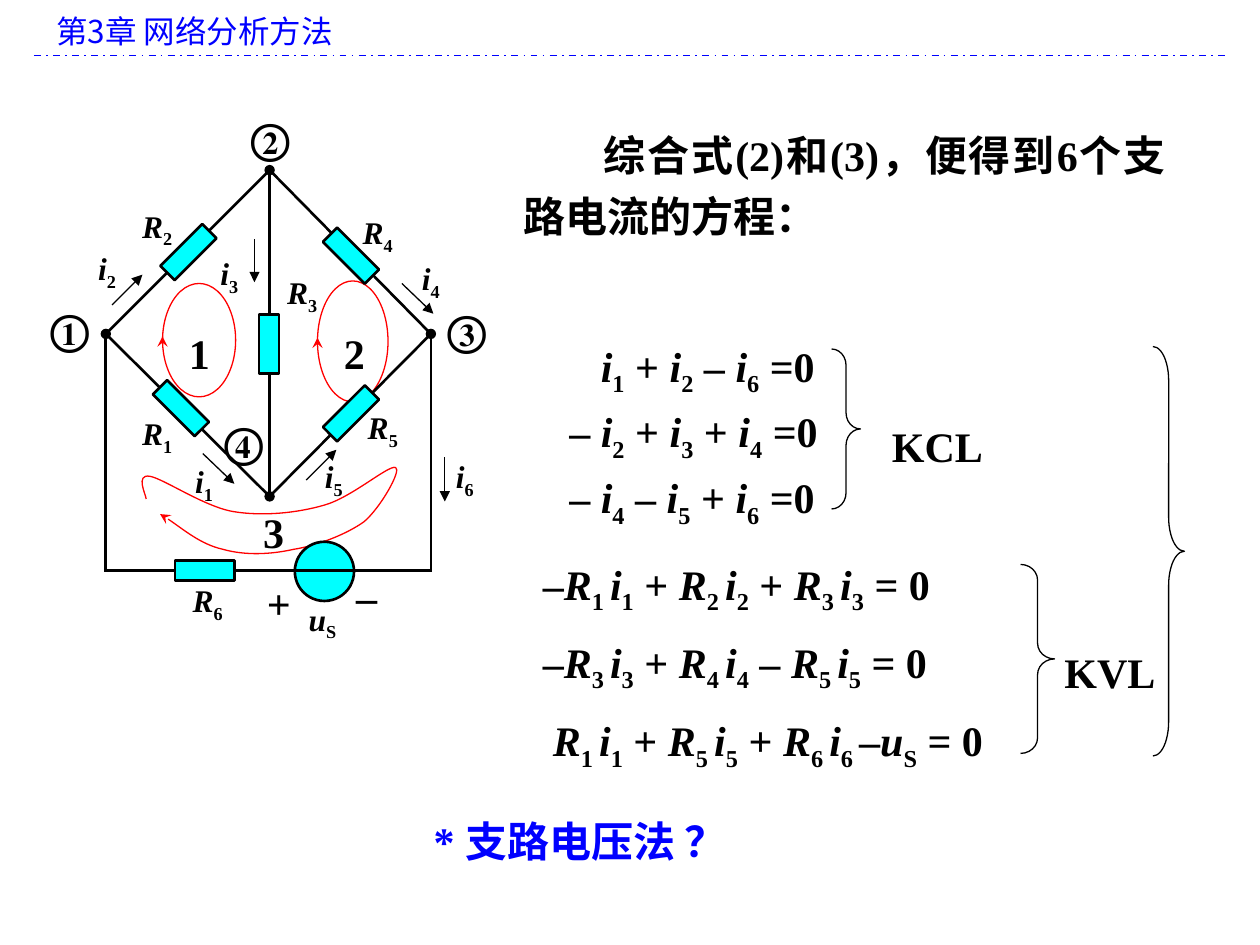
from dataclasses import dataclass
from itertools import groupby

from lxml import etree
from pptx import Presentation
from pptx.dml.color import RGBColor
from pptx.enum.dml import MSO_LINE
from pptx.enum.shapes import MSO_CONNECTOR, MSO_SHAPE
from pptx.enum.text import MSO_ANCHOR, MSO_AUTO_SIZE, PP_ALIGN
from pptx.oxml.ns import qn
from pptx.util import Inches, Pt

STRAIGHT = MSO_CONNECTOR.STRAIGHT
ELLIPSE, RECTANGLE, BRACE = MSO_SHAPE.OVAL, MSO_SHAPE.RECTANGLE, MSO_SHAPE.RIGHT_BRACE
LEFT, CENTER, JUSTIFY = PP_ALIGN.LEFT, PP_ALIGN.CENTER, PP_ALIGN.JUSTIFY
TOP, MIDDLE = MSO_ANCHOR.TOP, MSO_ANCHOR.MIDDLE
FIT_SHAPE = MSO_AUTO_SIZE.SHAPE_TO_FIT_TEXT
DASH_DOT = MSO_LINE.DASH_DOT


@dataclass(frozen=True)
class Theme:
    black: RGBColor = RGBColor(0, 0, 0)
    blue: RGBColor = RGBColor(0, 0, 255)
    red: RGBColor = RGBColor(255, 0, 0)
    cyan: RGBColor = RGBColor(0, 255, 255)
    body_font: str = "Times New Roman"
    chinese_font: str = "Noto Sans CJK SC"
    large: int = 24
    small: int = 18
    thin: float = 0.75
    thick: float = 1.5


def split_math(text):
    """Yield (text, italic, subscript); a tilde lowers the next character."""
    styled, lowered = [], False
    for character in text:
        if character == "~":
            lowered = True
            continue
        styled.append((character, character in "Riu", lowered))
        lowered = False
    for (italic, subscript), group in groupby(styled, key=lambda item: item[1:]):
        yield "".join(item[0] for item in group), italic, subscript


class SlideBuilder:
    def __init__(self, slide, theme):
        self.slide, self.theme = slide, theme

    def text(self, left, top, width, height, lines, size=None, color=None, bold=True,
             font=None, east_asian=None, align=LEFT, anchor=TOP, spacing=None, gap=0,
             indents=()):
        box = self.slide.shapes.add_textbox(*map(Inches, (left, top, width, height)))
        frame = box.text_frame
        frame.word_wrap = width > 0.54
        frame.auto_size = FIT_SHAPE
        frame.vertical_anchor = anchor
        for index, line in enumerate(lines):
            paragraph = frame.add_paragraph() if index else frame.paragraphs[0]
            paragraph.alignment = align
            if spacing:
                paragraph.line_spacing = spacing
            if index and gap:
                paragraph.space_before = Pt(gap)
            if index < len(indents):
                paragraph._p.get_or_add_pPr().set("indent", str(Inches(indents[index])))
            for content, italic, subscript in split_math(line):
                run = paragraph.add_run()
                run.text = content
                run.font.size = Pt(size or self.theme.large)
                run.font.bold, run.font.italic = bold, italic
                run.font.color.rgb = color or self.theme.black
                run.font.name = font or self.theme.body_font
                properties = run._r.get_or_add_rPr()
                etree.SubElement(properties, qn("a:ea"), typeface=east_asian or run.font.name)
                if subscript:
                    properties.set("baseline", "-25000")

    def stroke(self, shape, color, width, head=None, tail=None):
        shape.line.color.rgb = color or self.theme.black
        shape.line.width = Pt(width)
        for tag, kind in (("a:headEnd", head), ("a:tailEnd", tail)):
            if kind:
                etree.SubElement(shape.line._get_or_add_ln(), qn(tag), type=kind)

    def line(self, start, end, width, color=None, head=None, tail=None, dash=None):
        connector = self.slide.shapes.add_connector(
            STRAIGHT, *map(Inches, (*start, *end)))
        self.stroke(connector, color, width, head, tail)
        if dash:
            connector.line.dash_style = dash
        etree.SubElement(connector._element.spPr, qn("a:effectLst"))

    def shape(self, kind, left, top, width, height, line_width, fill=None, color=None,
              rotation=0, curl=None):
        shape = self.slide.shapes.add_shape(
            kind, *map(Inches, (left, top, width, height)))
        shape.shadow.inherit = False
        shape.rotation = rotation
        if fill:
            shape.fill.solid()
            shape.fill.fore_color.rgb = fill
        else:
            shape.fill.background()
        if curl is not None:
            shape.adjustments[0] = curl
        self.stroke(shape, color, line_width)

    def curve(self, start, controls, color):
        """Draw an open curve; each three control points make one Bezier segment."""
        builder = self.slide.shapes.build_freeform(*map(Inches, start))
        builder.add_line_segments([(Inches(x), Inches(y)) for x, y in controls], close=False)
        shape = builder.convert_to_shape()
        path = shape._element.find(".//" + qn("a:path"))
        segments = path.findall(qn("a:lnTo"))
        for index in range(0, len(segments), 3):
            bezier = etree.SubElement(path, qn("a:cubicBezTo"))
            for segment in segments[index:index + 3]:
                bezier.append(segment[0])
                path.remove(segment)
        shape.shadow.inherit = False
        shape.fill.background()
        self.stroke(shape, color, self.theme.thin, tail="stealth")


def draw_equations(builder, theme):
    thin = theme.thin
    builder.text(4.42, 2.65, 2.69, 1.46,
                 ["i~1 + i~2 – i~6 =0", "– i~2 + i~3 + i~4 =0", "– i~4 – i~5 + i~6 =0"],
                 gap=4.8, indents=(0.25,))
    builder.text(4.21, 4.38, 4.1, 1.7,
                 ["–R~1~ i~1 + R~2~ i~2 + R~3~ i~3 = 0",
                  "–R~3~ i~3 + R~4~ i~4 – R~5~ i~5 = 0",
                  "R~1~ i~1 + R~5~ i~5 + R~6~ i~6~ –u~S = 0"],
                 gap=12, indents=(0, 0, 0.08))
    builder.shape(BRACE, 6.6, 2.77, 0.23, 1.27, thin, curl=0.56)
    builder.text(6.98, 3.29, 1.15, 0.5, ["KCL"])
    builder.shape(BRACE, 8.1, 4.48, 0.27, 1.5, thin, curl=0.46)
    builder.text(8.35, 5.08, 1, 0.5, ["KVL"])
    builder.shape(BRACE, 9.15, 2.75, 0.25, 3.25, thin, curl=1.08)
    builder.text(4.06, 0.9, 5.29, 1.06, ["综合式(2)和(3)，便得到6个支路电流的方程："],
                 east_asian=theme.chinese_font, align=JUSTIFY, spacing=1.2, indents=(0.63,))
    builder.text(2.29, 6.42, 4.63, 0.5, ["* 支路电压法 ？"], color=theme.blue,
                 east_asian=theme.chinese_font, align=CENTER)


def draw_circuit(builder, theme):
    # Mesh loops
    builder.curve((1.16, 3.96), [
        (1.16, 3.93), (1.07, 3.76), (1.19, 3.78), (1.3, 3.8), (1.62, 4.02), (1.85, 4.06),
        (2.09, 4.1), (2.36, 4.07), (2.57, 4.01), (2.79, 3.95), (3.08, 3.69), (3.14, 3.71),
        (3.19, 3.73), (3.02, 4.03), (2.89, 4.14), (2.75, 4.24), (2.52, 4.33), (2.33, 4.36),
        (2.15, 4.4), (1.95, 4.41), (1.77, 4.36), (1.59, 4.32), (1.38, 4.14), (1.27, 4.08),
    ], theme.red)
    for left, top, width, height in ((1.29, 2.25, 0.58, 0.9), (2.52, 2.23, 0.56, 0.96)):
        builder.shape(ELLIPSE, left, top, width, height, theme.thin, color=theme.red)
        middle = top + height / 2
        builder.line((left, middle + 0.02), (left, middle - 0.03), theme.thin,
                     theme.red, tail="stealth")
    for number, left, top in (("1", 1.4, 2.55), ("2", 2.63, 2.55), ("3", 1.99, 3.97)):
        builder.text(left, top, 0.39, 0.5, [number])

    # Voltage source and wires
    builder.shape(ELLIPSE, 2.34, 4.3, 0.47, 0.47, theme.thick, fill=theme.cyan)
    west, north, east, south = (0.84, 2.65), (2.14, 1.35), (3.42, 2.65), (2.14, 3.94)
    for start, end in ((west, south), (north, west), (north, east), (east, south)):
        builder.line(start, end, theme.thick)
    builder.line(north, south, theme.thick, head="oval", tail="oval")
    for corner in (west, east):
        builder.line(corner, (corner[0], 4.54), theme.thick, head="oval")
    builder.line((0.83, 4.53), (3.42, 4.53), theme.thick)

    # Resistors
    for left, top, rotation in ((1.2, 3.16, 45), (1.26, 1.92, 135), (1.9, 2.65, 90),
                                (2.55, 1.95, 45), (2.55, 3.2, 135), (1.39, 4.45, 0)):
        builder.shape(RECTANGLE, left, top, 0.47, 0.16, theme.thick,
                      fill=theme.cyan, rotation=rotation)

    # Current arrows
    for start, end in (((2.02, 1.9), (2.02, 2.24)), ((3.53, 3.63), (3.53, 3.98)),
                       ((1.61, 3.6), (1.86, 3.84)), ((3.19, 2.25), (3.44, 2.49)),
                       ((0.89, 2.42), (1.13, 2.18)), ((2.43, 3.81), (2.67, 3.57))):
        builder.line(start, end, theme.thin, tail="triangle")

    # Component, current and node labels
    for sign, left, top in (("+", 2.02, 4.53), ("_", 2.72, 4.37)):
        builder.text(left, top, 0.38, 0.5, [sign], align=CENTER, anchor=MIDDLE)
    for label, left, top, width in (
            ("R~1", 1.03, 3.24, 0.67), ("R~2", 1.03, 1.59, 0.67), ("R~3", 2.18, 2.12, 0.45),
            ("R~4", 2.78, 1.64, 0.45), ("R~5", 2.82, 3.19, 0.45), ("R~6", 1.43, 4.56, 0.45),
            ("u~S", 2.35, 4.71, 0.71), ("i~1", 1.45, 3.62, 0.35), ("i~2", 0.68, 1.93, 0.35),
            ("i~3", 1.65, 1.97, 0.35), ("i~4", 3.25, 2.01, 0.35), ("i~5", 2.48, 3.58, 0.35),
            ("i~6", 3.52, 3.58, 0.35)):
        builder.text(left, top, width, 0.4, [label], size=theme.small)
    for node, left, top in (("①", 0.3, 2.36), ("②", 1.89, 0.84),
                            ("③", 3.45, 2.37), ("④", 1.68, 3.26)):
        builder.text(left, top, 0.54, 0.5, [node])


def main():
    theme = Theme()
    presentation = Presentation()
    presentation.slide_width, presentation.slide_height = Inches(10), Inches(7.5)
    slide = presentation.slides.add_slide(presentation.slide_layouts[6])
    builder = SlideBuilder(slide, theme)

    # Chapter heading
    builder.text(0.35, 0.05, 9.37, 0.4, ["第3章 网络分析方法"], size=theme.small,
                 color=theme.blue, bold=False, font=theme.chinese_font)
    builder.line((0.27, 0.44), (9.72, 0.44), 1, theme.blue, dash=DASH_DOT)

    draw_equations(builder, theme)
    draw_circuit(builder, theme)
    presentation.save("out.pptx")


if __name__ == "__main__":
    main()
